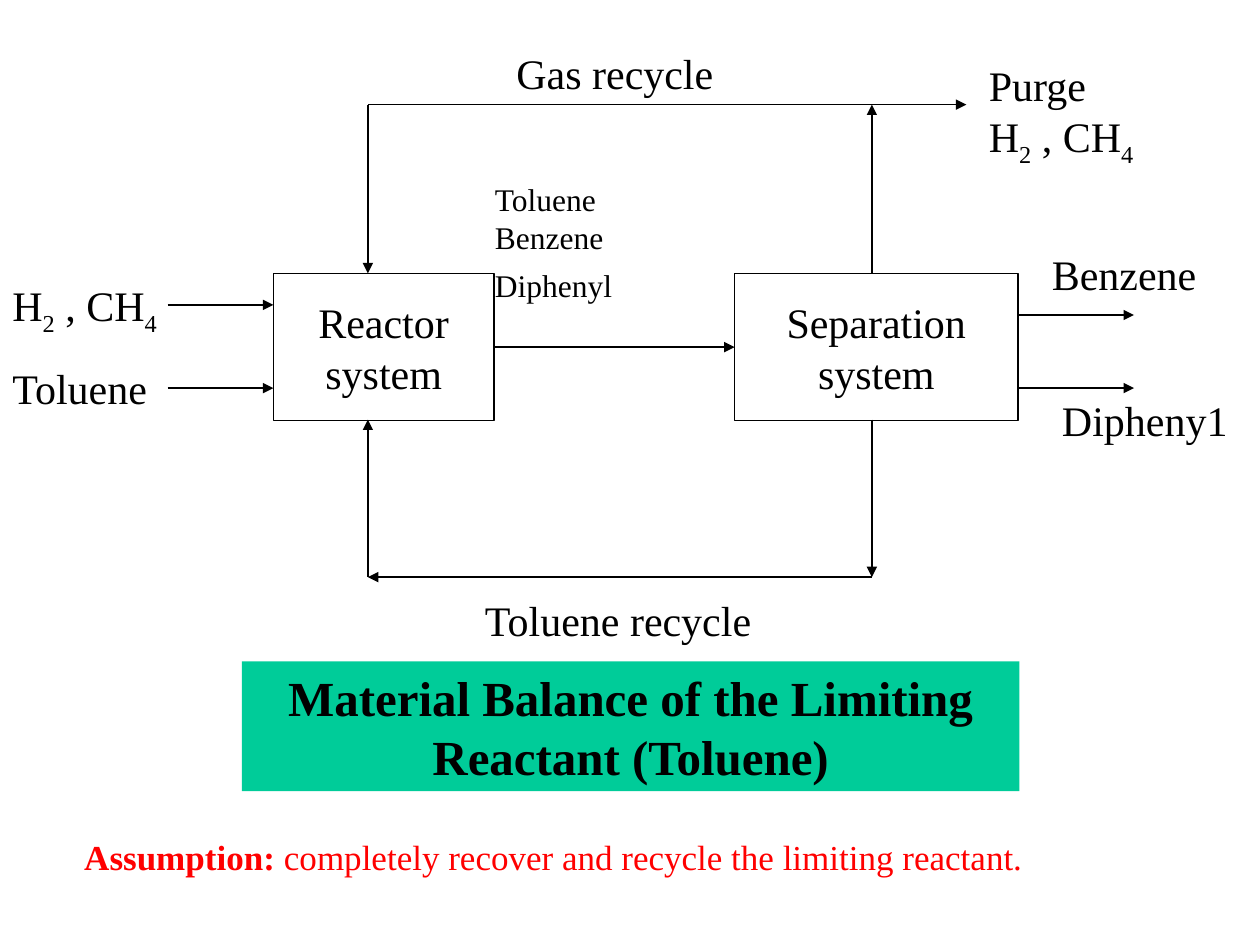
from lxml.etree import SubElement
from pptx import Presentation
from pptx.dml.color import RGBColor
from pptx.enum.shapes import MSO_CONNECTOR as CONN, MSO_SHAPE as SHAPE
from pptx.enum.text import MSO_ANCHOR as ANCHOR, MSO_AUTO_SIZE as FIT, PP_ALIGN as ALIGN
from pptx.oxml.ns import qn
from pptx.util import Inches, Pt

BLACK = RGBColor(0x00, 0x00, 0x00)
WHITE = RGBColor(0xFF, 0xFF, 0xFF)
GREEN = RGBColor(0x00, 0xCC, 0x99)
RED = RGBColor(0xFF, 0x00, 0x00)

prs = Presentation()
prs.slide_width, prs.slide_height = Inches(10), Inches(7.5)
s = prs.slides.add_slide(prs.slide_layouts[6])


def add_run(p, text, subscript=False, **fmt):
    r = p.add_run()
    r.text = text
    for name, value in {"name": "Times New Roman", "size": Pt(24), **fmt}.items():
        setattr(r.font, name, value)
    r.font.color.rgb = fmt.get("rgb", BLACK)
    if subscript:
        r._r.get_or_add_rPr().set("baseline", "-25000")


def add_box(box, fill=None):
    x, y, w, h = map(Inches, box)
    if fill is None:
        sp = s.shapes.add_textbox(x, y, w, h)
    else:
        sp = s.shapes.add_shape(SHAPE.RECTANGLE, x, y, w, h)
        sp.shadow.inherit = False
        sp.fill.solid()
        sp.fill.fore_color.rgb = fill
        sp.line.fill.background()
    tf = sp.text_frame
    for name, value in {"word_wrap": True, "auto_size": FIT.SHAPE_TO_FIT_TEXT,
                        "vertical_anchor": ANCHOR.TOP}.items():
        setattr(tf, name, value)
    return sp


# Process units
units = []
for unit, x, w in [("Reactor", 2.17, 1.75), ("Separation", 5.83, 2.25)]:
    sp = add_box((x, 2.17, w, 1.17), WHITE)
    sp.line.color.rgb = BLACK
    sp.line.width = Pt(0.75)
    tf = sp.text_frame
    for name, value in {"word_wrap": False, "auto_size": FIT.NONE,
                        "vertical_anchor": ANCHOR.MIDDLE}.items():
        setattr(tf, name, value)
    for p, text in zip([tf.paragraphs[0], tf.add_paragraph()], [unit, "system"]):
        p.alignment = ALIGN.CENTER
        add_run(p, text)
    units.append(sp)
reactor, separation = units

# Streams: x and y of the start, then of the arrowhead
streams = [
    (2.92, 0.83, 2.92, 2.17),  # gas recycle into the reactor
    (2.92, 0.83, 7.67, 0.83),  # purge
    (6.92, 2.17, 6.92, 0.83),  # gas leaving separation
    (3.92, 2.75, 5.83, 2.75),  # reactor effluent
    (6.92, 3.33, 6.92, 4.58),  # toluene leaving separation
    (6.92, 4.58, 2.92, 4.58),  # toluene recycle
    (2.92, 4.58, 2.92, 3.33),  # toluene into the reactor
    (8.08, 2.5, 9, 2.5),       # benzene product
    (8.08, 3.08, 9, 3.08),     # diphenyl product
    (1.33, 2.42, 2.17, 2.42),  # gas feed
    (1.33, 3.08, 2.17, 3.08),  # toluene feed
]
for ends in streams:
    c = s.shapes.add_connector(CONN.STRAIGHT, *map(Inches, ends))
    c.line.color.rgb = BLACK
    c.line.width = Pt(0.75)
    SubElement(c.line._get_or_add_ln(), qn("a:tailEnd"), type="triangle")
    SubElement(c._element.spPr, qn("a:effectLst"))
    if ends[0] == 3.92:
        c.begin_connect(reactor, 3)
        c.end_connect(separation, 1)

# Stream labels, each given as pieces that alternate normal and subscript
GASES = ["H", "2", " , CH", "4"]
labels = [
    (4, 0.33, 1.83, ["Gas recycle"]),
    (7.75, 0.42, 1.08, ["Purge"]),
    (7.75, 0.83, 1.5, GASES),
    (8.25, 1.92, 1.5, ["Benzene"]),
    (8.33, 3.08, 1.67, ["Dipheny1"]),
    (0, 2.17, 1.5, GASES),
    (0, 2.83, 1.33, ["Toluene"]),
    (3.75, 4.67, 2.42, ["Toluene recycle"]),
]
for x, y, w, pieces in labels:
    p = add_box((x, y, w, 0.5)).text_frame.paragraphs[0]
    for i, text in enumerate(pieces):
        add_run(p, text, subscript=i % 2 == 1)

# Title
p = add_box((1.92, 5.25, 6.17, 1.03), GREEN).text_frame.paragraphs[0]
p.alignment = ALIGN.CENTER
add_run(p, "Material Balance of the Limiting Reactant (Toluene)", size=Pt(28), bold=True)

# Reactor effluent components
tf = add_box((3.83, 1.38, 1.25, 1)).text_frame
paragraphs = [tf.paragraphs[0], tf.add_paragraph(), tf.add_paragraph()]
for p, text in zip(paragraphs, ["Toluene", "Benzene", "Diphenyl"]):
    add_run(p, text, size=Pt(18))
paragraphs[-1].space_before = Pt(6)

# Assumption
p = add_box((0.57, 6.58, 8.51, 0.43)).text_frame.paragraphs[0]
add_run(p, "Assumption:", size=Pt(20), bold=True, rgb=RED)
add_run(p, " completely recover and recycle the limiting reactant.", size=Pt(20), rgb=RED)

prs.save("out.pptx")
